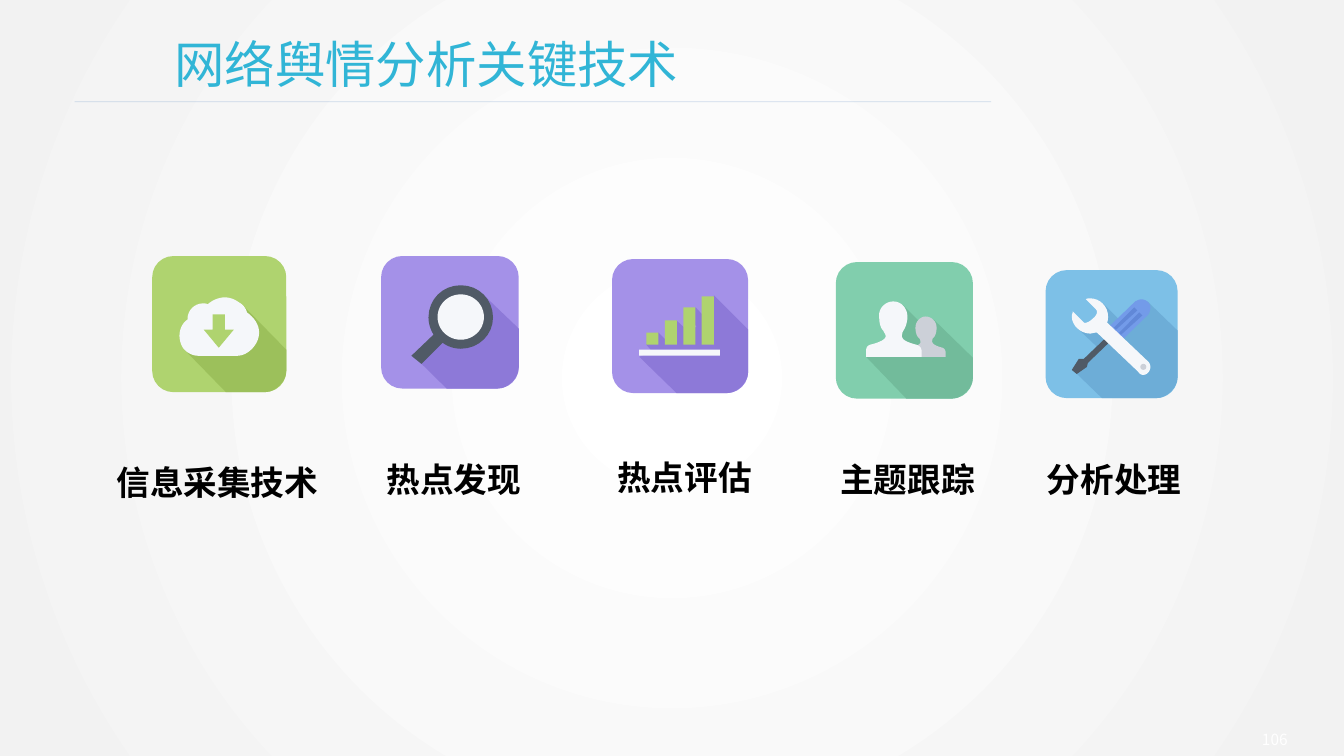
from lxml.etree import SubElement
from pptx import Presentation
from pptx.dml.color import RGBColor
from pptx.enum.shapes import MSO_CONNECTOR, MSO_SHAPE
from pptx.enum.text import PP_ALIGN
from pptx.oxml import parse_xml
from pptx.oxml.ns import nsdecls, qn
from pptx.util import Inches, Pt

COLS, ROWS = 1333, 750
CELL = Inches(0.01)
FONT = "Noto Sans CJK SC"
C = {
    "white": "FFFFFF", "edge": "F2F2F2", "black": "000000", "title": "31B5D6",
    "rule": "4A7EBB", "paper": "F5F7FA", "grey": "CCD0D8", "slate": "505A66",
    "green": "AFD36F", "green_dark": "9CC05B", "violet": "A491E8",
    "violet_dark": "8D79D8", "mint": "81CEAD", "mint_dark": "72BB9B",
    "sky": "7DC0E7", "sky_dark": "6DADD7", "handle": "739BE9", "groove": "6188D8",
}
RECT, OVAL, TILE = MSO_SHAPE.RECTANGLE, MSO_SHAPE.OVAL, MSO_SHAPE.ROUNDED_RECTANGLE
RADIUS, STEPS = 21, 8


def rgb(name):
    return RGBColor.from_string(C[name])


def draw(kind, color, geometry):
    """Draw a preset from its box, or an outline (kind None) of line points and Bezier 6-tuples."""
    if kind is None:
        pts = [geometry[0]]
        for seg in geometry[1:]:
            if len(seg) == 2:
                pts.append(seg)
                continue
            ends = [pts[-1], seg[:2], seg[2:4], seg[4:]]
            for t in (n / STEPS for n in range(1, STEPS + 1)):
                w = ((1 - t) ** 3, 3 * t * (1 - t) ** 2, 3 * t * t * (1 - t), t ** 3)
                pts.append(tuple(sum(k * e[axis] for k, e in zip(w, ends)) for axis in (0, 1)))
        pts = [(x * CELL, y * CELL) for x, y in pts]
        builder = s.shapes.build_freeform(*pts[0])
        builder.add_line_segments(pts[1:], close=True)
        sp = builder.convert_to_shape()
    else:
        sp = s.shapes.add_shape(kind, *(v * CELL for v in geometry))
    sp.shadow.inherit = False
    sp.fill.solid()
    sp.fill.fore_color.rgb = rgb(color)
    sp.line.fill.background()
    return sp


prs = Presentation()
prs.slide_width, prs.slide_height = COLS * CELL, ROWS * CELL
s = prs.slides.add_slide(prs.slide_layouts[6])

# Radial background
fill = s.background.fill
fill.gradient()
for stop, name, position in zip(fill.gradient_stops, ("white", "edge"), (0, 1)):
    stop.color.rgb = rgb(name)
    stop.position = position
grad = s.background._cSld.find(".//" + qn("a:gradFill"))
grad.replace(grad.find(qn("a:lin")), parse_xml(
    f'<a:path {nsdecls("a")} path="circle">'
    '<a:fillToRect l="50000" t="50000" r="50000" b="50000"/></a:path>'))

# Icon outlines
cloud = [(235, 353), (197, 353), (192, 353, 187, 351, 183, 347), (180, 344, 178, 338, 178, 333),
         (178, 327, 181, 320, 186, 317), (186, 316), (186, 308, 193, 301, 201, 301),
         (203, 301, 205, 301, 206, 302), (210, 298, 217, 295, 223, 295),
         (228, 295, 233, 297, 237, 300), (241, 302, 244, 306, 245, 310),
         (252, 315, 257, 322, 257, 330), (257, 336, 254, 342, 250, 346),
         (246, 350, 241, 353, 235, 353)]
download = [(223, 327), (223, 312), (211, 312), (211, 327), (202, 327), (217, 345), (232, 327)]
magnifier = [(418, 361), (439, 340), (444, 344, 451, 346, 457, 346), (475, 346, 489, 332, 489, 315),
             (489, 297, 475, 283, 457, 283), (439, 283, 425, 297, 425, 315),
             (425, 321, 427, 327, 430, 332), (408, 353)]
back_person = [(935, 345), (935, 345, 926, 343, 925, 340), (924, 339, 925, 337, 925, 336),
               (926, 335), (928, 333, 929, 329, 929, 325), (929, 319, 924, 314, 918, 314),
               (913, 314, 908, 319, 908, 325), (908, 329, 909, 333, 911, 335), (912, 336),
               (913, 337, 913, 339, 913, 340), (912, 343, 902, 345, 902, 345),
               (900, 346, 898, 348, 898, 350), (898, 354), (938, 354), (938, 350),
               (938, 348, 937, 346, 935, 345)]
front_person = [(909, 342), (909, 342, 896, 339, 895, 335), (894, 334, 895, 331, 895, 330),
                (896, 328), (898, 325, 900, 320, 900, 314), (900, 306, 894, 299, 886, 299),
                (878, 299, 871, 306, 872, 314), (872, 320, 873, 325, 876, 328), (877, 330),
                (878, 331, 879, 334, 878, 335), (876, 339, 863, 342, 863, 342),
                (860, 343, 859, 345, 859, 348), (859, 354), (914, 354), (914, 348),
                (914, 345, 912, 343, 909, 342)]
handle = [(1141, 305), (1141, 301, 1137, 297, 1132, 297), (1130, 297, 1128, 298, 1126, 299),
          (1096, 328), (1109, 341), (1139, 312), (1140, 310, 1141, 308, 1141, 305)]
blade = [(1075, 356), (1070, 356), (1063, 367), (1068, 371), (1078, 364), (1079, 360),
         (1104, 336), (1100, 332)]
groove = [(1107, 327), (1105, 325), (1125, 305), (1128, 308)]
wrench = [(1063, 314), (1063, 323, 1072, 331, 1081, 331), (1083, 331, 1085, 330, 1088, 330),
          (1129, 369), (1130, 371, 1132, 372, 1134, 372), (1138, 372, 1141, 368, 1141, 364),
          (1141, 362, 1140, 360, 1139, 359), (1098, 320), (1099, 318, 1099, 316, 1099, 314),
          (1099, 304, 1091, 296, 1081, 296), (1080, 296, 1078, 296, 1077, 297), (1087, 307),
          (1089, 309, 1088, 313, 1084, 316), (1080, 320, 1076, 321, 1075, 320), (1064, 309),
          (1064, 311, 1063, 312, 1063, 314)]
bars = [(RECT, "green", (641 + 18.33 * i, 342 - h, 12, h)) for i, h in enumerate((12, 24, 37, 48))]

# Tile box, colour, shadow from right edge round to bottom edge, parts
icons = [
    ((151, 254, 133, 135), "green", [(284, 347), (240, 302), (183, 347), (224, 389)],
     [(None, "paper", cloud), (None, "green", download)]),
    ((378, 254, 136.5, 131.5), "violet", [(514.5, 326), (480, 293), (414, 357), (443, 385.5)],
     [(None, "slate", magnifier), (OVAL, "paper", (434, 292, 46, 45))]),
    ((607, 257, 135, 133), "violet",
     [(742, 327), (708, 293), (705, 317), (702, 318), (690, 305), (681, 315), (691, 324), (683, 329),
      (671, 318), (662, 327), (671, 335), (663, 340), (653, 330), (641, 342), (647, 349),
      (634, 354), (671, 390)],
     [*bars, (RECT, "paper", (634, 347, 80, 6))]),
    ((829, 260, 136, 135.5), "mint",
     [(965, 355), (926, 317), (916, 323), (896, 303), (879, 321), (893, 335), (859, 354), (899, 395.5)],
     [(None, "grey", back_person), (None, "paper", front_person)]),
    ((1037, 268, 131, 127), "sky",
     [(1168, 328), (1138, 299), (1115, 322), (1094, 301), (1091, 305), (1086, 319), (1073, 322),
      (1069, 326), (1090, 346), (1066, 369), (1093, 395)],
     [(None, "handle", handle), (None, "slate", blade), (None, "groove", groove),
      (None, "groove", [(x + 5, y + 5) for x, y in groove]),
      (None, "paper", wrench), (OVAL, "grey", (1131, 361, 6, 6))]),
]
for box, color, shade, parts in icons:
    x, y, w, h = box
    right, bottom = x + w, y + h
    draw(TILE, color, box).adjustments[0] = RADIUS / min(w, h)
    corner = [(right - RADIUS, bottom),
              (right - RADIUS / 2, bottom, right, bottom - RADIUS / 2, right, bottom - RADIUS)]
    draw(None, color + "_dark", corner + shade)
    for part in parts:
        draw(*part)

# Texts
label = {"size": Pt(24), "bold": True}
heading, number = {"size": Pt(36), "bold": False}, {"size": Pt(11), "bold": False}
texts = [
    ("信息采集技术", (95, 453, 241, 50), PP_ALIGN.CENTER, "black", label),
    ("热点发现", (323, 450, 254, 50), PP_ALIGN.CENTER, "black", label),
    ("热点评估", (547, 448, 264, 50), PP_ALIGN.CENTER, "black", label),
    ("主题跟踪", (768, 450, 264, 50), PP_ALIGN.CENTER, "black", label),
    ("分析处理", (973, 450, 264, 50), PP_ALIGN.CENTER, "black", label),
    ("网络舆情分析关键技术", (163, 28, 850, 71), PP_ALIGN.LEFT, "title", heading),
    ("106", (1187, 719, 100, 31), PP_ALIGN.RIGHT, "white", number),
]
for text, box, align, color, style in texts:
    tf = s.shapes.add_textbox(*(v * CELL for v in box)).text_frame
    tf.word_wrap = True
    p = tf.paragraphs[0]
    p.alignment = align
    r = p.add_run()
    r.text = text
    for key, value in {**style, "name": FONT}.items():
        setattr(r.font, key, value)
    r.font.color.rgb = rgb(color)
    SubElement(r._r.get_or_add_rPr(), qn("a:ea"), typeface=FONT)

# Rule under the title
rule = s.shapes.add_connector(MSO_CONNECTOR.STRAIGHT, 74 * CELL, 101 * CELL, 983 * CELL, 101 * CELL)
rule.line.width = Pt(0.5)
rule.line.color.rgb = rgb("rule")
SubElement(rule._element.spPr.find(".//" + qn("a:srgbClr")), qn("a:alpha"), val="25000")
SubElement(rule._element.spPr, qn("a:effectLst"))

prs.save("out.pptx")
